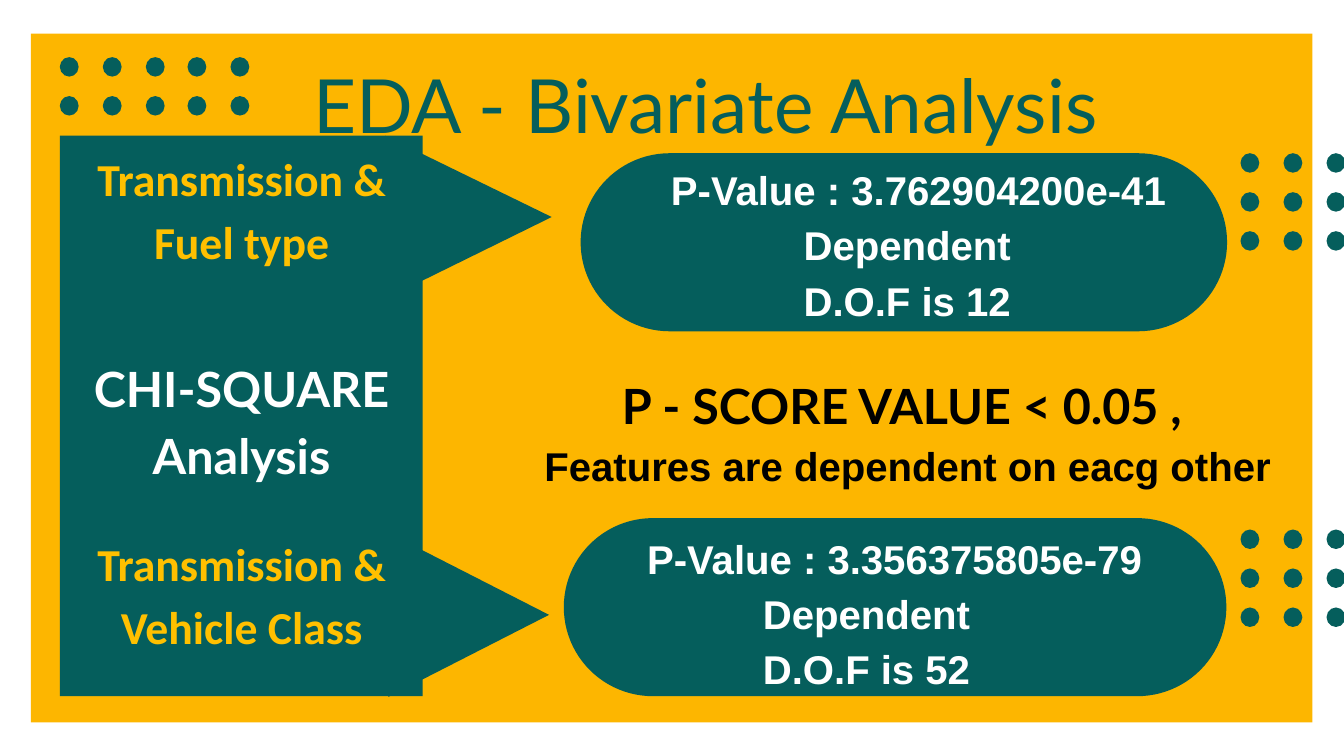
import pptx
import pptx.util
import pptx.dml.color
import pptx.enum.shapes
import pptx.enum.text
from dataclasses import dataclass

SCALE = 9144  # EMU in one px, 100 px to the inch


@dataclass(frozen=True)
class Theme:
    yellow: str = "FDB600"
    teal: str = "055E5C"
    gold: str = "FFC000"
    white: str = "FFFFFF"
    black: str = "000000"
    title: int = 80
    heading: int = 52
    pair: int = 49
    body: int = 43


THEME = Theme()
SHAPES = pptx.enum.shapes.MSO_SHAPE
ALIGN = pptx.enum.text.PP_ALIGN

# Content: every paragraph is a dict of its text and format
TITLE = "EDA - Bivariate Analysis"


def pair(text, **extra):
    return dict(text=text, font="Calibri", size=THEME.pair, color=THEME.gold, **extra)


def heading(text, color, **extra):
    return dict(text=text, font="Lato", size=THEME.heading, color=color, **extra)


def body(text, color=THEME.white, **extra):
    return dict(text=text, font="Arial", size=THEME.body, color=color, **extra)


PANEL_TEXT = [
    pair("Transmission & Fuel type"),
    heading("CHI-SQUARE", THEME.white, spacing=1.5, before=66),
    heading("Analysis", THEME.white),
    pair("Transmission & Vehicle Class", before=46),
]
RULE_TEXT = [
    heading("P - SCORE VALUE < 0.05 ,", THEME.black, right=12),
    body("Features are dependent on eacg other", THEME.black, left=12),
]
# Pill frame, text frame, p-value, its indent in points, degrees of freedom
RESULTS = [
    ((864, 228, 962, 265), (857, 225, 986, 259), "3.762904200e-41", 24, 12),
    ((839, 771, 986, 265), (821, 774, 937, 259), "3.356375805e-79", 60, 52),
]

# Layout: left, top, width, height in px
BACKDROP = (46, 50, 1907, 1025)
TITLE_FRAME = (466, 61, 1349, 135)
PANEL = (89, 202, 540, 834)
PANEL_FRAME = (123, 202, 473, 783)
RULE_FRAME = (762, 537, 1177, 193)
ARROWS = [(578, 793, 239, 244), (573, 202, 248, 243)]
DOT_SIZE = (28, 29)
DOT_PITCH = (64, 58)
# Left, top, columns, rows
DOT_GRIDS = [(89, 85, 3, 2), (279, 85, 2, 2), (1846, 228, 3, 3), (1846, 788, 3, 3)]


def emu(frame):
    return [pptx.util.Emu(value * SCALE) for value in frame]


def rgb(color):
    return pptx.dml.color.RGBColor.from_string(color)


def paint(shape, color):
    shape.shadow.inherit = False
    shape.fill.solid()
    shape.fill.fore_color.rgb = rgb(color)
    shape.line.fill.background()


def add_block(page, kind, frame, color=THEME.teal):
    shape = page.shapes.add_shape(kind, *emu(frame))
    paint(shape, color)
    return shape


def add_arrow(page, frame):
    left, top, width, height = frame
    builder = page.shapes.build_freeform(left, top, scale=SCALE)
    builder.add_line_segments([(left + width, top + height // 2), (left, top + height)])
    paint(builder.convert_to_shape(), THEME.teal)


def add_dots(page, left, top, columns, rows):
    for row in range(rows):
        for column in range(columns):
            place = (left + column * DOT_PITCH[0], top + row * DOT_PITCH[1])
            add_block(page, SHAPES.OVAL, place + DOT_SIZE)


def set_frame(frame, margin):
    frame.word_wrap = True
    frame.auto_size = pptx.enum.text.MSO_AUTO_SIZE.NONE
    frame.vertical_anchor = pptx.enum.text.MSO_ANCHOR.TOP
    frame.margin_left = frame.margin_right = pptx.util.Emu(margin * SCALE)
    frame.margin_top = frame.margin_bottom = pptx.util.Emu(margin * SCALE)


def set_font(para, name, size, color, bold):
    para.font.name = name
    para.font.size = pptx.util.Pt(size)
    para.font.bold = bold
    para.font.color.rgb = rgb(color)


def add_text(page, frame, lines):
    box = page.shapes.add_textbox(*emu(frame))
    set_frame(box.text_frame, 10)
    for index, line in enumerate(lines):
        para = box.text_frame.add_paragraph() if index else box.text_frame.paragraphs[0]
        para.text = line["text"]
        para.alignment = ALIGN.CENTER
        para.line_spacing = line.get("spacing", 1.15)
        if "before" in line:
            para.space_before = pptx.util.Pt(line["before"])
        for side, attribute in (("left", "marL"), ("right", "marR")):
            if side in line:
                indent = pptx.util.Pt(line[side])
                para._p.get_or_add_pPr().set(attribute, str(int(indent)))
        set_font(para, line["font"], line["size"], line["color"], True)


def main():
    deck = pptx.Presentation()
    deck.slide_width, deck.slide_height = emu((2000, 1125))
    page = deck.slides.add_slide(deck.slide_layouts[5])

    # Backdrop, with the title just above it
    backdrop = add_block(page, SHAPES.RECTANGLE, BACKDROP, THEME.yellow)
    title = page.shapes.title
    backdrop._element.addnext(title._element)
    title.left, title.top, title.width, title.height = emu(TITLE_FRAME)
    set_frame(title.text_frame, 0)
    para = title.text_frame.paragraphs[0]
    para.text = TITLE
    para.alignment = ALIGN.LEFT
    para.line_spacing = 1.2
    set_font(para, "Lato", THEME.title, THEME.teal, False)

    # Dot grids
    for grid in DOT_GRIDS:
        add_dots(page, *grid)

    # Panel with its arrows
    for frame in ARROWS:
        add_arrow(page, frame)
    add_block(page, SHAPES.RECTANGLE, PANEL)
    add_text(page, PANEL_FRAME, PANEL_TEXT)

    # Test results and the rule between them
    for pill, frame, value, indent, freedom in RESULTS:
        add_block(page, SHAPES.ROUNDED_RECTANGLE, pill).adjustments[0] = 0.5
        add_text(page, frame, [
            body(f"P-Value : {value}", left=indent),
            body("Dependent"),
            body(f"D.O.F is {freedom}"),
        ])
    add_text(page, RULE_FRAME, RULE_TEXT)

    deck.save("out.pptx")


if __name__ == "__main__":
    main()
